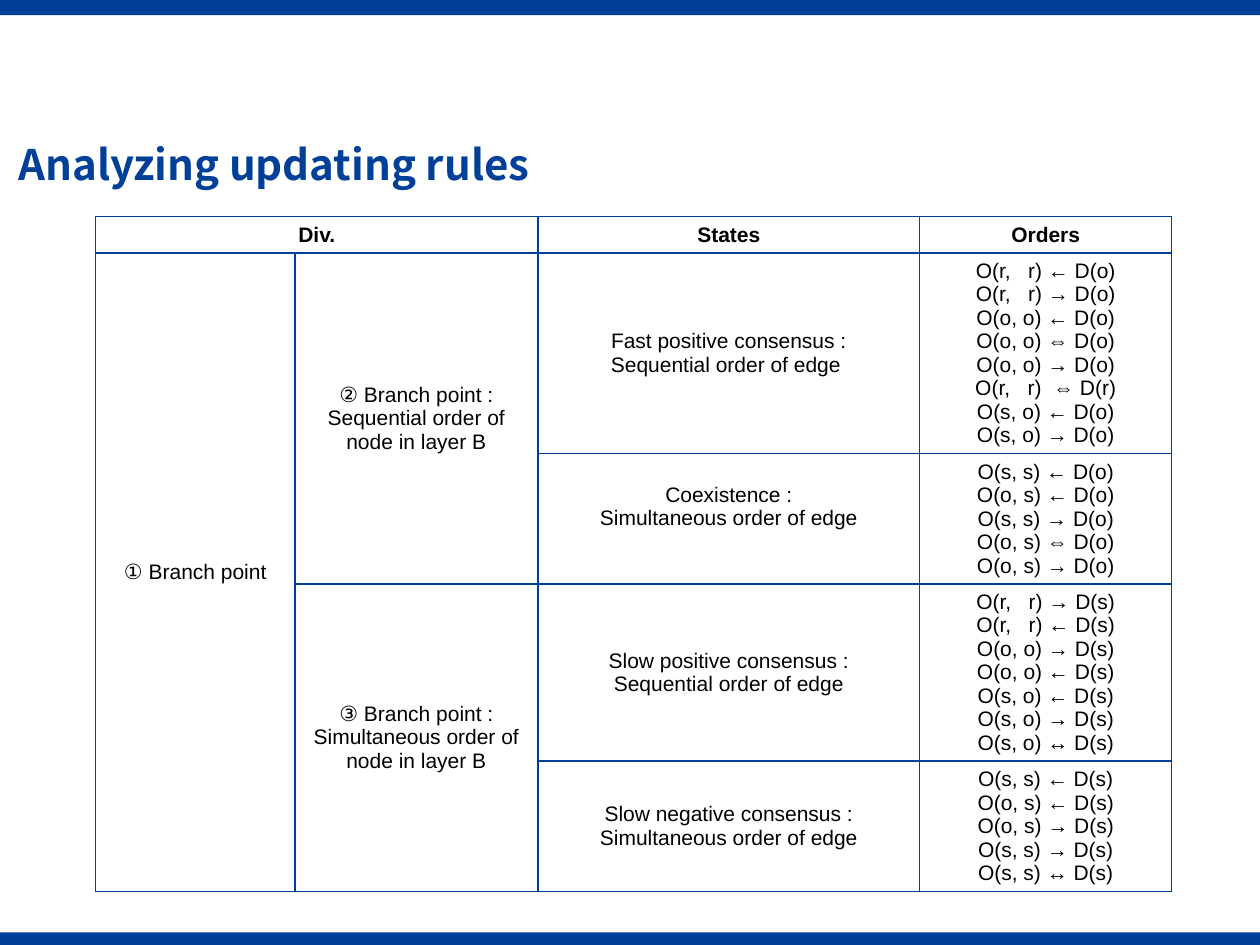
"""Build a slide with a table of branch points, states and orders of updating rules."""
from dataclasses import dataclass

from lxml.etree import SubElement
from pptx import Presentation
from pptx.dml.color import RGBColor
from pptx.enum.shapes import MSO_SHAPE as Shape
from pptx.enum.text import MSO_ANCHOR as Anchor, PP_ALIGN as Align
from pptx.oxml.ns import qn
from pptx.util import Inches, Pt


@dataclass(frozen=True)
class Theme:
    blue: RGBColor = RGBColor(0x00, 0x40, 0x98)
    black: RGBColor = RGBColor(0, 0, 0)
    white: RGBColor = RGBColor(255, 255, 255)
    title_font: str = "Noto Sans CJK SC"
    body_font: str = "Arial"
    title_size: Pt = Pt(24)
    body_size: Pt = Pt(12)
    border: Pt = Pt(1)


theme = Theme()


def style_font(font, name, size, color, bold):
    font.name, font.size, font.bold = name, size, bold
    font.color.rgb = color


def add_borders(cell):
    properties = cell._tc.get_or_add_tcPr()
    for index, side in enumerate(("lnL", "lnR", "lnT", "lnB")):
        line = properties.makeelement(qn(f"a:{side}"), {"w": str(theme.border)})
        fill = SubElement(line, qn("a:solidFill"))
        SubElement(fill, qn("a:srgbClr"), val=str(theme.blue))
        properties.insert(index, line)


presentation = Presentation()
presentation.slide_width, presentation.slide_height = Inches(10), Inches(7.5)
slide = presentation.slides.add_slide(presentation.slide_layouts[6])

for top, height in ((7.4, 0.1), (0, 0.12)):
    band = slide.shapes.add_shape(
        Shape.RECTANGLE, 0, Inches(top), presentation.slide_width, Inches(height))
    band.shadow.inherit = False
    band.fill.solid()
    band.fill.fore_color.rgb = theme.blue
    band.line.fill.background()

column_widths = (1.58, 1.93, 3.03, 2)
row_heights = (0.27, 1.54, 0.99, 1.36, 0.99)
table = slide.shapes.add_table(
    len(row_heights), len(column_widths), Inches(0.76), Inches(1.72),
    Inches(sum(column_widths)), Inches(sum(row_heights))).table
table.first_row = table.horz_banding = False
for column, width in zip(table.columns, column_widths):
    column.width = Inches(width)
for row, height in zip(table.rows, row_heights):
    row.height = Inches(height)
for first, last in (((0, 0), (0, 1)), ((1, 0), (4, 0)), ((1, 1), (2, 1)), ((3, 1), (4, 1))):
    table.cell(*first).merge(table.cell(*last))

contents = {
    (0, 0): ["Div."],
    (0, 2): ["States"],
    (0, 3): ["Orders"],
    (1, 0): ["① Branch point"],
    (1, 1): ["② Branch point :", "Sequential order of node in layer B"],
    (3, 1): ["③ Branch point :", "Simultaneous order of node in layer B"],
    (1, 2): ["Fast positive consensus :", "Sequential order of edge "],
    (2, 2): ["Coexistence :", "Simultaneous order of edge"],
    (3, 2): ["Slow positive consensus :", "Sequential order of edge"],
    (4, 2): ["Slow negative consensus :", "Simultaneous order of edge"],
    (1, 3): ["O(r,   r) ← D(o)", "O(r,   r) → D(o)", "O(o, o) ← D(o)", "O(o, o) ⇔ D(o)",
             "O(o, o) → D(o)", "O(r,   r)  ⇔ D(r)", "O(s, o) ← D(o)", "O(s, o) → D(o)"],
    (2, 3): ["O(s, s) ← D(o)", "O(o, s) ← D(o)", "O(s, s) → D(o)", "O(o, s) ⇔ D(o)",
             "O(o, s) → D(o)"],
    (3, 3): ["O(r,   r) → D(s)", "O(r,   r) ← D(s)", "O(o, o) → D(s)", "O(o, o) ← D(s)",
             "O(s, o) ← D(s)", "O(s, o) → D(s)", "O(s, o) ↔ D(s)"],
    (4, 3): ["O(s, s) ← D(s)", "O(o, s) ← D(s)", "O(o, s) → D(s)", "O(s, s) → D(s)",
             "O(s, s) ↔ D(s)"],
}

for row in range(len(row_heights)):
    for column in range(len(column_widths)):
        cell = table.cell(row, column)
        cell.fill.solid()
        cell.fill.fore_color.rgb = theme.white
        add_borders(cell)
        cell.vertical_anchor = Anchor.MIDDLE
        cell.text = "\n".join(contents.get((row, column), []))
        for paragraph in cell.text_frame.paragraphs:
            paragraph.alignment = Align.CENTER
            style_font(paragraph.font, theme.body_font, theme.body_size, theme.black, row == 0)
table.cell(2, 2).margin_bottom = Inches(0.24)

title = slide.shapes.add_textbox(Inches(0.05), Inches(1.01), Inches(9.16), Inches(0.63))
title.text_frame.word_wrap = True
title.text_frame.vertical_anchor = Anchor.MIDDLE
paragraph = title.text_frame.paragraphs[0]
paragraph.text = "Analyzing updating rules"
paragraph.line_spacing = 0.9
style_font(paragraph.font, theme.title_font, theme.title_size, theme.blue, True)

presentation.save("out.pptx")
